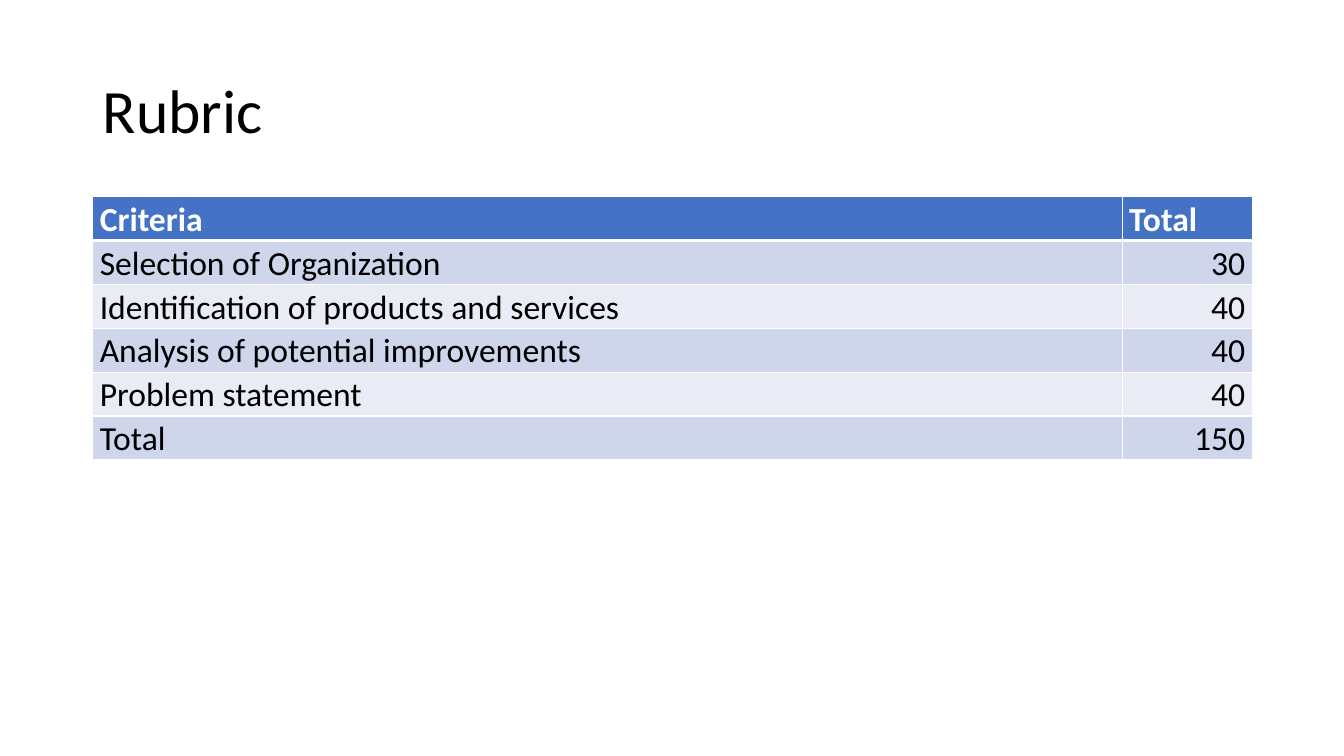
import pptx
import pptx.dml.color
import pptx.enum.text
import pptx.oxml
import pptx.oxml.ns
import pptx.util
from dataclasses import dataclass

Inches = pptx.util.Inches
ALIGN = pptx.enum.text.PP_ALIGN

# Content
TITLE = "Rubric"
HEADER = ("Criteria", "Total")
SCORES = [
    ("Selection of Organization", 30),
    ("Identification of products and services", 40),
    ("Analysis of potential improvements", 40),
    ("Problem statement", 40),
    ("Total", 150),
]


@dataclass(frozen=True)
class Theme:
    font: str = "Calibri"
    title_size: int = 44
    table_size: int = 24
    text: str = "000000"
    light: str = "FFFFFF"
    header_fill: str = "4472C4"
    band_fills: tuple = ("CFD5EA", "E9EBF5")
    thin_border: int = 1
    thick_border: int = 3


THEME = Theme()

# Layout
LEFT, WIDTH = 0.92, 11.5
TITLE_TOP, TITLE_HEIGHT = 0.4, 1.45
TABLE_TOP, ROW_HEIGHT = 1.95, 0.43
TOTAL_WIDTH = 1.29
COLUMN_WIDTHS = (WIDTH - TOTAL_WIDTH, TOTAL_WIDTH)
CELL_MARGIN = 0.07


def write_text(frame, text, *, size, color=THEME.text, bold=False,
               align=ALIGN.LEFT, line_spacing=1.0, space_before=0):
    paragraph = frame.paragraphs[0]
    paragraph.alignment = align
    paragraph.line_spacing = line_spacing
    paragraph.space_before = pptx.util.Pt(space_before)
    run = paragraph.add_run()
    run.text = text
    run.font.name = THEME.font
    run.font.size = pptx.util.Pt(size)
    run.font.bold = bold
    run.font.color.rgb = pptx.dml.color.RGBColor.from_string(color)


def add_border(cell, side, width):
    namespace = pptx.oxml.ns.nsdecls("a")
    cell._tc.get_or_add_tcPr().append(pptx.oxml.parse_xml(
        f'<a:ln{side} {namespace} w="{pptx.util.Pt(width)}"><a:solidFill>'
        f'<a:srgbClr val="{THEME.light}"/></a:solidFill></a:ln{side}>'))


def format_cell(cell, value, row_index):
    is_header = row_index == 0
    cell.margin_left = cell.margin_right = Inches(CELL_MARGIN)
    cell.margin_top = cell.margin_bottom = 0
    # Borders go before the fill; the line under the header is thicker
    thick_side = {0: "B", 1: "T"}.get(row_index)
    for side in "LRTB":
        add_border(cell, side,
                   THEME.thick_border if side == thick_side else THEME.thin_border)
    fill = THEME.header_fill if is_header else THEME.band_fills[(row_index - 1) % 2]
    cell.fill.solid()
    cell.fill.fore_color.rgb = pptx.dml.color.RGBColor.from_string(fill)
    write_text(cell.text_frame, str(value), size=THEME.table_size,
               color=THEME.light if is_header else THEME.text, bold=is_header,
               align=ALIGN.RIGHT if isinstance(value, int) else ALIGN.LEFT,
               line_spacing=1.07, space_before=6)


def main():
    presentation = pptx.Presentation()
    presentation.slide_width = Inches(13.33)
    presentation.slide_height = Inches(7.5)
    slide = presentation.slides.add_slide(presentation.slide_layouts[5])

    # Title
    title = slide.shapes.title
    title.left, title.top = Inches(LEFT), Inches(TITLE_TOP)
    title.width, title.height = Inches(WIDTH), Inches(TITLE_HEIGHT)
    title.text_frame.vertical_anchor = pptx.enum.text.MSO_ANCHOR.MIDDLE
    write_text(title.text_frame, TITLE, size=THEME.title_size, line_spacing=0.9)

    # Rubric table
    rows = [HEADER, *SCORES]
    table = slide.shapes.add_table(
        len(rows), len(HEADER), Inches(LEFT), Inches(TABLE_TOP),
        Inches(WIDTH), Inches(ROW_HEIGHT * len(rows))).table
    for column, width in zip(table.columns, COLUMN_WIDTHS):
        column.width = Inches(width)
    for row_index, row in enumerate(rows):
        for column_index, value in enumerate(row):
            format_cell(table.cell(row_index, column_index), value, row_index)

    presentation.save("out.pptx")


if __name__ == "__main__":
    main()
